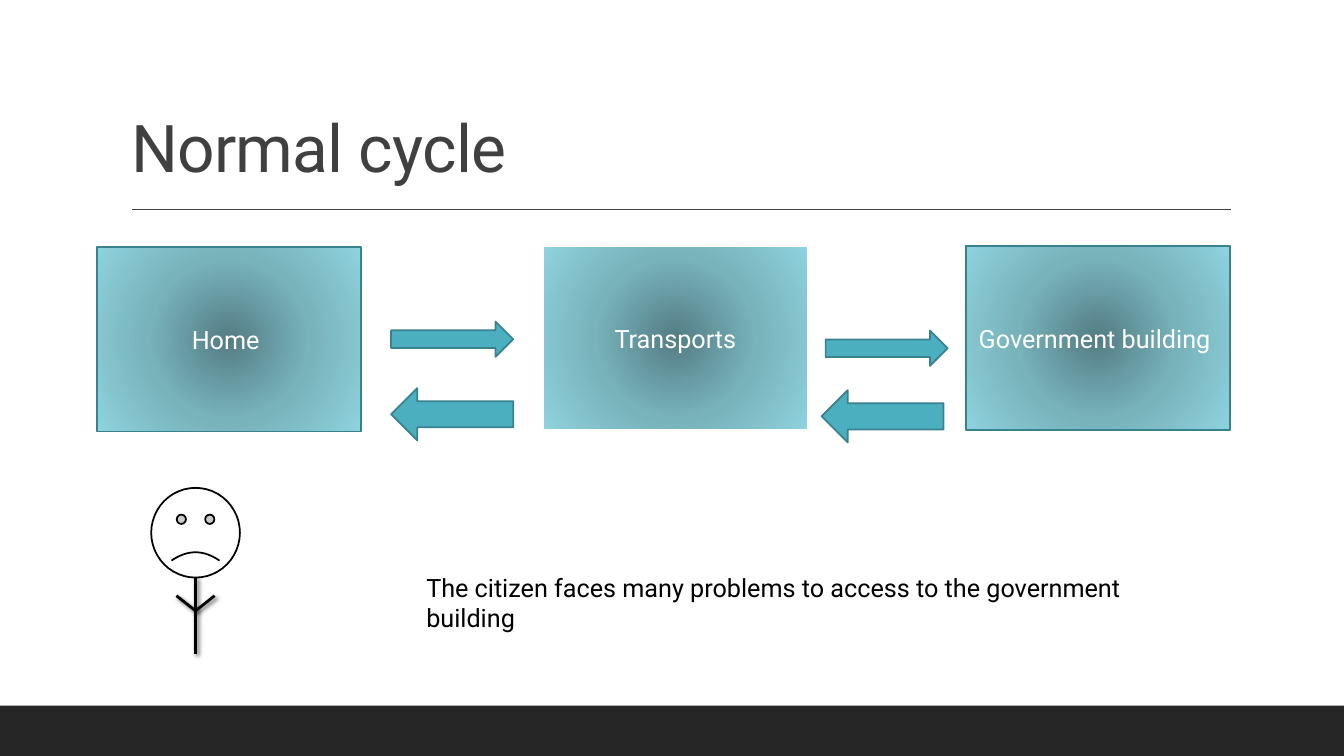
from lxml.etree import SubElement
from pptx import Presentation
from pptx.dml.color import RGBColor
from pptx.enum.shapes import MSO_CONNECTOR as Connector, MSO_SHAPE as Preset
from pptx.enum.text import MSO_ANCHOR as Anchor, PP_ALIGN as Align
from pptx.oxml.ns import qn
from pptx.util import Inches, Pt

COLORS = {
    "ink": "000000", "paper": "FFFFFF", "heading": "404040", "footer": "262626",
    "teal": "4CAFC0", "edge": "38818E",
    "core": "547D84", "middle": "78B2BB", "rim": "8ED3DE",
}


def rgb(name):
    """Return the named color."""
    return RGBColor.from_string(COLORS[name])


def write(frame, text, size=18, color="ink", align=Align.LEFT, anchor=Anchor.TOP,
          font="Roboto", leading=None, tracking=None):
    """Fill a text frame with one formatted paragraph."""
    frame.word_wrap = True
    frame.vertical_anchor = anchor
    paragraph = frame.paragraphs[0]
    paragraph.alignment = align
    if leading:
        paragraph.line_spacing = leading
    run = paragraph.add_run()
    run.text = text
    run.font.name, run.font.size = font, Pt(size)
    run.font.color.rgb = rgb(color)
    if tracking:
        run.font._element.set("spc", str(int(tracking * 100)))


class Board:
    """Draw on a slide with lengths in percent of its width and height."""

    def __init__(self, deck):
        """Add a title-only slide to the deck."""
        self.deck = deck
        self.slide = deck.slides.add_slide(deck.slide_layouts[5])
        self.shapes = self.slide.shapes

    def place(self, *lengths):
        """Turn alternating horizontal and vertical percentages into lengths."""
        sides = (self.deck.slide_width, self.deck.slide_height) * 2
        return [int(share * side / 100) for share, side in zip(lengths, sides)]

    def title(self, text, area):
        """Move and fill the title placeholder."""
        heading = self.shapes.title
        heading.left, heading.top, heading.width, heading.height = self.place(*area)
        write(heading.text_frame, text, size=47, color="heading",
              anchor=Anchor.BOTTOM, leading=0.9, tracking=-0.5)

    def shape(self, preset, area, fill=None, edge=None):
        """Add a preset shape with an optional solid fill and outline."""
        figure = self.shapes.add_shape(preset, *self.place(*area))
        figure.shadow.inherit = False
        if fill:
            figure.fill.solid()
            figure.fill.fore_color.rgb = rgb(fill)
        if edge:
            figure.line.color.rgb = rgb(edge)
            figure.line.width = Pt(1.25)
        else:
            figure.line.fill.background()
        return figure

    def stage(self, text, area, edge):
        """Add a labelled box with a circular gradient."""
        box = self.shape(Preset.RECTANGLE, area, edge=edge)
        properties = box._element.spPr
        gradient = SubElement(properties, qn("a:gradFill"), rotWithShape="1")
        stops = SubElement(gradient, qn("a:gsLst"))
        for position, name in ((0, "core"), (50, "middle"), (100, "rim")):
            stop = SubElement(stops, qn("a:gs"), pos=str(position * 1000))
            SubElement(stop, qn("a:srgbClr"), val=COLORS[name])
        circle = SubElement(gradient, qn("a:path"), path="circle")
        SubElement(circle, qn("a:fillToRect"), dict.fromkeys("ltrb", "50000"))
        properties.find(qn("a:prstGeom")).addnext(gradient)
        write(box.text_frame, text, color="paper", align=Align.CENTER,
              anchor=Anchor.MIDDLE)

    def arrow(self, area, turn=0):
        """Add a block arrow."""
        self.shape(Preset.RIGHT_ARROW, area, "teal", "edge").rotation = turn

    def line(self, ends, color, width, shadow=False):
        """Add a straight line, with a soft shadow on request."""
        stroke = self.shapes.add_connector(Connector.STRAIGHT, *self.place(*ends))
        stroke.line.color.rgb = rgb(color)
        stroke.line.width = Pt(width)
        effects = SubElement(stroke._element.spPr, qn("a:effectLst"))
        if shadow:
            cast = SubElement(effects, qn("a:outerShdw"), blurRad=str(Pt(3)),
                              dist=str(Pt(2)), dir="2700000", rotWithShape="0")
            tint = SubElement(cast, qn("a:srgbClr"), val=COLORS["ink"])
            SubElement(tint, qn("a:alpha"), val="60000")

    def note(self, text, area):
        """Add a wrapped text box."""
        write(self.shapes.add_textbox(*self.place(*area)).text_frame, text)


def main():
    """Build and save the slide."""
    deck = Presentation()
    deck.slide_width, deck.slide_height = Inches(13.333), Inches(7.5)
    board = Board(deck)

    board.shape(Preset.RECTANGLE, (0, 93.33, 100, 6.67), "footer")
    board.line((9.83, 27.73, 91.58, 27.73), "heading", 1)
    board.title("Normal cycle", (9, 4.13, 82.5, 21.2))

    for place, left, top, edge in (
        ("Transports", 40.43, 32.53, "paper"),
        ("Home ", 7.2, 32.67, "edge"),
        ("Government building ", 71.85, 32.53, "edge"),
    ):
        board.stage(place, (left, top, 19.65, 24.4), edge)

    for left, top in ((29.1, 42.53), (61.43, 43.73)):
        board.arrow((left, top, 9.08, 4.67))
    for left, top in ((61.13, 51.6), (29.1, 51.33)):
        board.arrow((left, top, 9.08, 6.93), turn=180)

    face = board.shape(Preset.SMILEY_FACE, (11.25, 64.53, 6.6, 11.87), "paper", "ink")
    face.adjustments[0] = -0.05
    spine, chest, hands, reach = 14.55, 80.8, 78.8, 1.42
    board.line((spine, 76.4, spine, 86.53), "ink", 2, shadow=True)
    for hand in (spine + reach, spine - reach):
        board.line((hand, hands, spine, chest), "ink", 2, shadow=True)

    board.note("The citizen faces many problems to access to the government building ",
               (30.98, 75.07, 55.95, 9.47))
    deck.save("out.pptx")


main()
